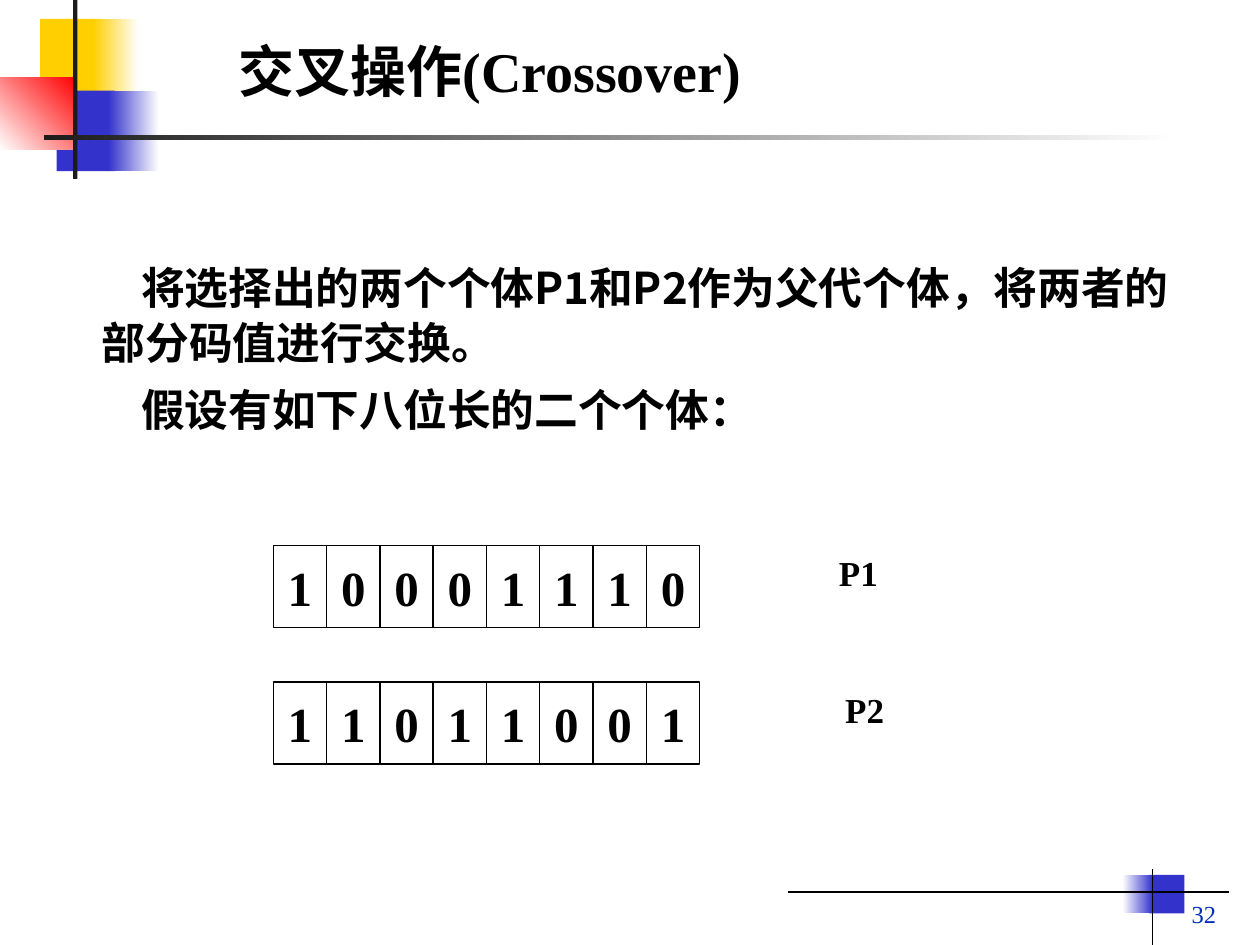
"""Build the slide on the crossover operation of a genetic algorithm."""
from dataclasses import dataclass

import lxml.etree
import pptx
import pptx.dml.color
import pptx.enum.shapes
import pptx.enum.text
import pptx.oxml.ns
import pptx.util

Pt = pptx.util.Pt
ANCHOR = pptx.enum.text.MSO_ANCHOR
ALIGN = pptx.enum.text.PP_ALIGN


@dataclass(frozen=True)
class Theme:
    serif: str = "Times New Roman"
    sans: str = "Noto Sans CJK SC"
    title: int = 32
    body: int = 25
    gene: int = 28
    label: int = 20
    number: int = 14
    black: str = "000000"
    white: str = "FFFFFF"
    dark: str = "1C1C1C"
    yellow: str = "FFCF01"
    blue: str = "3333CC"
    red: str = "FF0000"
    page: str = "022EBA"


THEME = Theme()

TITLE = "交叉操作(Crossover)"
BODY = [
    "将选择出的两个个体P1和P2作为父代个体，将两者的部分码值进行交换。",
    "假设有如下八位长的二个个体：",
]
PARENTS = [("P1", "10001110", 472.3), ("P2", "11011001", 475.9)]
PAGE_NUMBER = "32"

ORNAMENTS = [
    ((23, 10.8, 34.6, 46), (THEME.yellow,), 0),
    ((53.3, 10.8, 25.9, 46), (THEME.yellow, THEME.white), 0),
    ((32.4, 51.8, 33.1, 46), (THEME.blue,), 0),
    ((61.9, 51.8, 28.8, 46), (THEME.blue, THEME.white), 0),
    ((0, 44.6, 43.9, 41), (THEME.white, THEME.red), 45),
    ((41.8, 0, 2.5, 102.3), (THEME.dark,), 0),
    ((25.2, 77, 648, 2.9), (THEME.dark, THEME.white), 0),
    ((656.6, 499.9, 20.2, 22.1), (THEME.blue,), 0),
    ((641.5, 499.9, 17.3, 22.1), (THEME.white, THEME.blue), 0),
]
RULES = [(450, 509.8, 702, 509.8), (658.8, 496.8, 658.8, 540)]

CELL_LEFT, CELL_WIDTH, CELL_HEIGHT = 156.2, 30.45, 46.8
ROW_TOP, ROW_PITCH = 311.8, 78


def rgb(color):
    return pptx.dml.color.RGBColor.from_string(color)


def points(*lengths):
    return [Pt(length) for length in lengths]


def style(paragraph, size, color=THEME.black, bold=True, latin=THEME.serif):
    for run in paragraph.runs:
        run.font.size = Pt(size)
        run.font.bold = bold
        run.font.color.rgb = rgb(color)
        run.font.name = latin
        east_asian = lxml.etree.SubElement(run.font._element, pptx.oxml.ns.qn("a:ea"))
        east_asian.set("typeface", THEME.sans)


def move(shape, left, top, width, height):
    shape.left, shape.top, shape.width, shape.height = points(left, top, width, height)


def add_box(slide, bounds, colors, angle=0):
    box = slide.shapes.add_shape(
        pptx.enum.shapes.MSO_SHAPE.RECTANGLE, *points(*bounds))
    box.shadow.inherit = False
    box.line.fill.background()
    if len(colors) == 1:
        box.fill.solid()
        box.fill.fore_color.rgb = rgb(colors[0])
    else:
        box.fill.gradient()
        box.fill.gradient_angle = angle
        for stop, color in zip(box.fill.gradient_stops, colors):
            stop.color.rgb = rgb(color)
    return box


def add_rule(slide, ends):
    rule = slide.shapes.add_connector(
        pptx.enum.shapes.MSO_CONNECTOR.STRAIGHT, *points(*ends))
    rule.line.color.rgb = rgb(THEME.black)
    rule.line.width = Pt(0.75)
    lxml.etree.SubElement(rule._element.spPr, pptx.oxml.ns.qn("a:effectLst"))


def add_text(slide, bounds, text, size, align, anchor, **look):
    frame = slide.shapes.add_textbox(*points(*bounds)).text_frame
    frame.word_wrap = True
    frame.vertical_anchor = anchor
    frame.text = text
    frame.paragraphs[0].alignment = align
    style(frame.paragraphs[0], size, **look)


def fill_title(title):
    move(title, 128.9, 2.9, 419, 74.2)
    title.text_frame.text = TITLE
    title.text_frame.vertical_anchor = ANCHOR.MIDDLE
    title.text_frame.paragraphs[0].alignment = ALIGN.LEFT
    style(title.text_frame.paragraphs[0], THEME.title)


def fill_body(body):
    move(body, 36, 143.5, 652.3, 133)
    body.text_frame.text = "\n".join(BODY)
    for index, paragraph in enumerate(body.text_frame.paragraphs):
        properties = paragraph._p.get_or_add_pPr()
        properties.set("marL", str(Pt(15)))
        properties.set("indent", str(Pt(22.5)))
        lxml.etree.SubElement(properties, pptx.oxml.ns.qn("a:buNone"))
        paragraph.alignment = ALIGN.LEFT
        paragraph.line_spacing = 1.06
        paragraph.space_before = Pt(6 if index else 0)
        style(paragraph, THEME.body, latin=THEME.sans)


def add_parent(slide, row, name, genes, label_left):
    top = ROW_TOP + row * ROW_PITCH
    for column, gene in enumerate(genes):
        left = CELL_LEFT + column * CELL_WIDTH
        cell = add_box(slide, (left, top, CELL_WIDTH, CELL_HEIGHT), (THEME.white,))
        cell.line.color.rgb = rgb(THEME.black)
        cell.line.width = Pt(0.75)
        frame = cell.text_frame
        frame.margin_left = frame.margin_right = 0
        frame.vertical_anchor = ANCHOR.MIDDLE
        frame.text = gene
        frame.paragraphs[0].alignment = ALIGN.CENTER
        style(frame.paragraphs[0], THEME.gene)
    add_text(slide, (label_left, top, 76.3, CELL_HEIGHT), name, THEME.label,
             ALIGN.LEFT, ANCHOR.TOP)


def main():
    deck = pptx.Presentation()
    deck.slide_width, deck.slide_height = points(720, 540)
    slide = deck.slides.add_slide(deck.slide_layouts[1])
    for bounds, colors, angle in ORNAMENTS:
        add_box(slide, bounds, colors, angle)
    for ends in RULES:
        add_rule(slide, ends)
    fill_title(slide.shapes.title)
    fill_body(slide.placeholders[1])
    for row, parent in enumerate(PARENTS):
        add_parent(slide, row, *parent)
    add_text(slide, (552.2, 496.8, 149.8, 37.4), PAGE_NUMBER, THEME.number,
             ALIGN.RIGHT, ANCHOR.BOTTOM, color=THEME.page, bold=False)
    deck.save("out.pptx")


if __name__ == "__main__":
    main()
